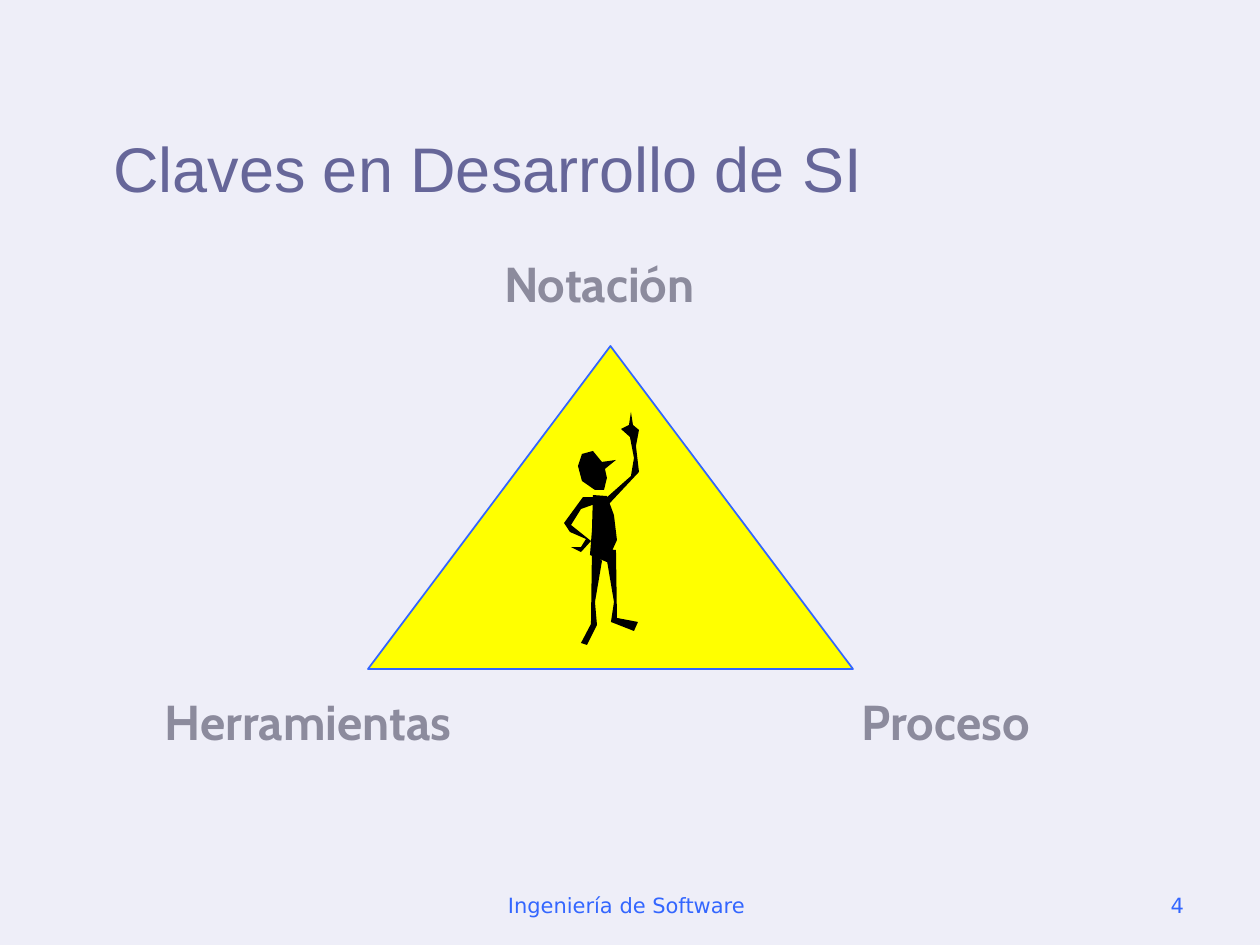
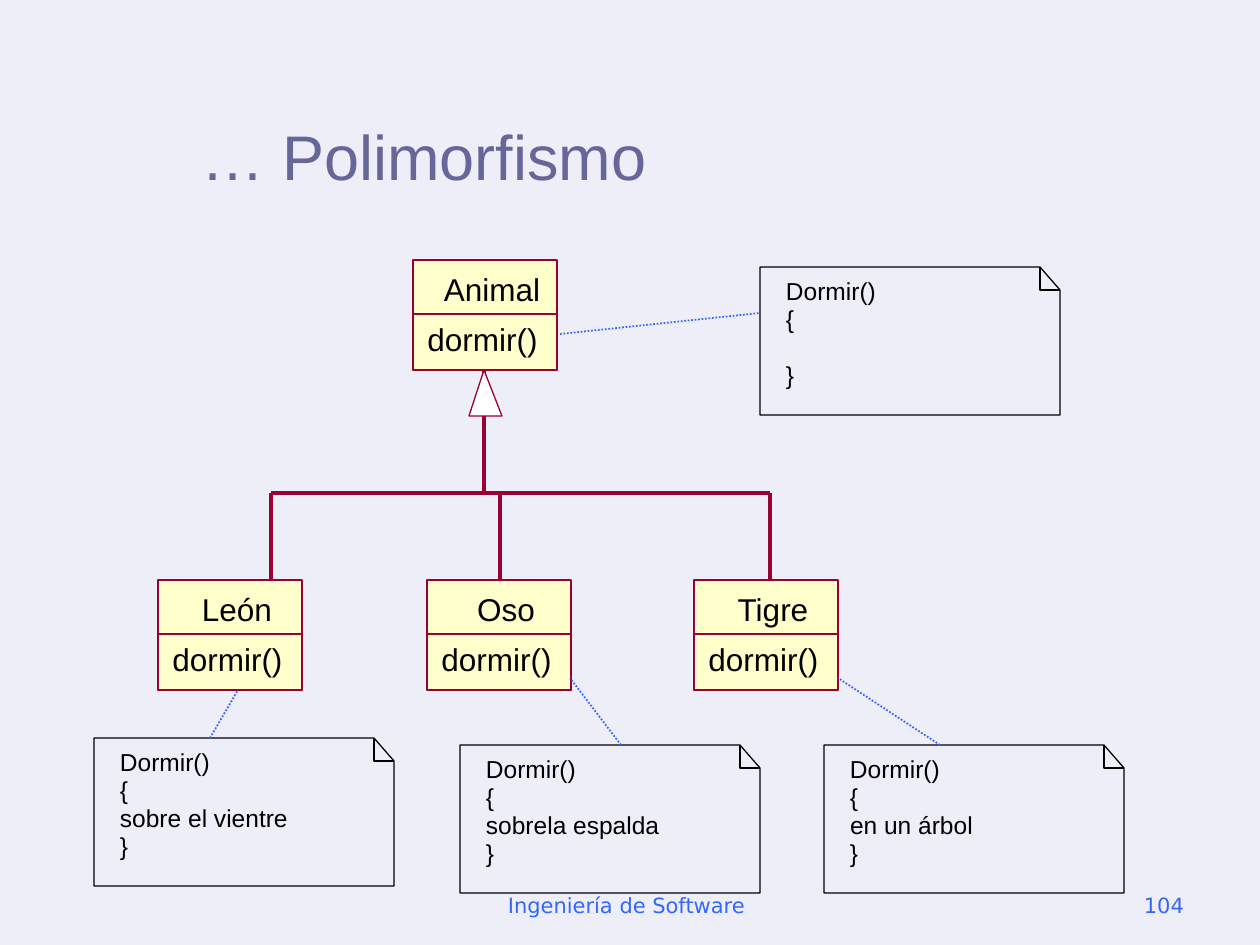
from lxml import etree
from pptx import Presentation
from pptx.dml.color import RGBColor
from pptx.enum.dml import MSO_LINE
from pptx.enum.shapes import MSO_CONNECTOR, MSO_SHAPE
from pptx.enum.text import MSO_ANCHOR, MSO_AUTO_SIZE, PP_ALIGN
from pptx.oxml.ns import qn
from pptx.util import Pt

# Shared style
PX = 914400 / 126
SLIDE_SIZE = (1260, 945)
COLORS = {
    "background": "EEEEF8", "title": "666699", "blue": "3366FF",
    "label": "8C8B9D", "yellow": "FFFF00", "class": "FFFFCC",
    "maroon": "990033", "black": "000000", "white": "FFFFFF",
}
FOOTER = "Ingeniería de Software"
FOOTER_BOX = (427, 861, 399, 63)
NUMBER_BOX = (903, 861, 294, 63)

# Slide 1: the three keys around a triangle
KEYS = {
    "title": "Claves en Desarrollo de SI",
    "title_box": (105, 126, 1071, 82),
    "title_insets": (8, 3),
    "number": "4",
    "triangle": (368, 346, 485, 323),
    "labels": [
        ("Herramientas", (152, 685, 364, 72)),
        ("Proceso", (849, 685, 217, 72)),
        ("Notación", (491, 248, 248, 72)),
    ],
}
FIGURE = {
    "head": [(602, 462), (593, 451), (582, 454), (578, 466), (582, 481),
             (595, 490), (604, 490), (607, 478), (605, 469), (616, 460)],
    "raised arm": [(605, 499), (631, 476), (634, 458), (630, 437), (621, 429),
                   (629, 425), (631, 412), (633, 425), (639, 430), (636, 446),
                   (639, 472), (609, 504)],
    "bent arm": [(595, 497), (583, 497), (564, 523), (570, 532), (586, 539),
                 (581, 547), (571, 547), (581, 552), (591, 541), (571, 525),
                 (581, 509), (595, 504)],
    "body": [(593, 495), (607, 496), (614, 515), (617, 540), (607, 562),
             (590, 555), (592, 530)],
    "left leg": [(592, 550), (591, 624), (581, 643), (587, 645), (597, 625),
                 (595, 602), (602, 561)],
    "right leg": [(605, 549), (614, 602), (611, 622), (634, 631), (638, 622),
                  (617, 618), (616, 550)],
}

# Slide 2: a class tree with notes
POLYMORPHISM = {
    "title": "… Polimorfismo",
    "title_box": (189, 42, 1008, 157),
    "title_insets": (13, 6),
    "number": "104",
    # left, top, body of the method
    "notes": [
        (824, 745, "en un árbol"),
        (460, 745, "sobrela espalda"),
        (94, 738, "sobre el vientre"),
        (760, 267, ""),
    ],
    # name, left, top
    "classes": [
        ("Animal", 413, 260), ("León", 158, 580),
        ("Oso", 427, 580), ("Tigre", 694, 580),
    ],
    "operation": "dormir()",
    "trunk": (484, 493, 484, 370),
    "arrowhead": [(484, 370), (502, 416), (469, 416)],
    "branch_xs": (271, 500, 770),
    "branch_ys": (580, 493),
    "links": [
        (560, 334, 760, 313), (210, 738, 238, 690),
        (621, 745, 570, 678), (940, 745, 838, 678),
    ],
}
NOTE_W, NOTE_H, FOLD_W, FOLD_H = 300, 148, 20, 23
NOTE_TEXT_X, NOTE_TEXT_Y, NOTE_PITCH = 26, 9, 28
CLASS_W, CLASS_H, NAME_H = 144, 110, 54
NAME_SHIFT, OPERATION_X, OPERATION_W = 7, 14, 111


def emu(*lengths):
    return [round(length * PX) for length in lengths]


def color(name):
    return RGBColor.from_string(COLORS[name])


def write(target, text, font="Arial", size=18, ink="black", bold=False,
          align=PP_ALIGN.LEFT, anchor=MSO_ANCHOR.TOP, insets=(0, 0), wrap=False):
    frame = target.text_frame
    frame.text = text
    frame.word_wrap = wrap
    frame.auto_size = MSO_AUTO_SIZE.NONE
    frame.vertical_anchor = anchor
    frame.margin_left = frame.margin_right = emu(insets[0])[0]
    frame.margin_top = frame.margin_bottom = emu(insets[1])[0]
    paragraph = frame.paragraphs[0]
    paragraph.alignment = align
    style = paragraph.runs[0].font
    style.name, style.size, style.bold = font, Pt(size), bold
    style.color.rgb = color(ink)


def add_text(slide, box, text, **style):
    write(slide.shapes.add_textbox(*emu(*box)), text, **style)


def paint(shape, fill=None, line=None, width=0):
    shape.shadow.inherit = False
    if fill:
        shape.fill.solid()
        shape.fill.fore_color.rgb = color(fill)
    else:
        shape.fill.background()
    if line:
        shape.line.color.rgb = color(line)
        shape.line.width = Pt(width)
    else:
        shape.line.fill.background()


def add_preset(slide, kind, box, **style):
    paint(slide.shapes.add_shape(kind, *emu(*box)), **style)


def add_outline(shapes, points, close=True, **style):
    builder = shapes.build_freeform(*points[0], scale=PX)
    builder.add_line_segments(points[1:], close=close)
    paint(builder.convert_to_shape(), **style)


def add_line(slide, ends, ink="maroon", width=0, dash=None):
    line = slide.shapes.add_connector(MSO_CONNECTOR.STRAIGHT, *emu(*ends))
    line.line.color.rgb = color(ink)
    line.line.width = Pt(width)
    if dash:
        line.line.dash_style = dash
    etree.SubElement(line._element.spPr, qn("a:effectLst"))


def add_slide(prs, content):
    slide = prs.slides.add_slide(prs.slide_layouts[5])
    title = slide.shapes.title
    title.left, title.top, title.width, title.height = emu(*content["title_box"])
    write(title, content["title"], size=36, ink="title", wrap=True,
          anchor=MSO_ANCHOR.BOTTOM, insets=content["title_insets"])
    for box, text, align in [(FOOTER_BOX, FOOTER, PP_ALIGN.CENTER),
                             (NUMBER_BOX, content["number"], PP_ALIGN.RIGHT)]:
        add_text(slide, box, text, font="DejaVu Sans", size=12, ink="blue",
                 align=align, anchor=MSO_ANCHOR.BOTTOM, insets=(13, 6), wrap=True)
    return slide


def add_note(slide, left, top, method_body):
    right, bottom = left + NOTE_W, top + NOTE_H
    fold_x, fold_y = right - FOLD_W, top + FOLD_H
    add_outline(slide.shapes, [(left, top), (fold_x, top), (right, fold_y),
                               (right, bottom), (left, bottom)], line="black")
    add_outline(slide.shapes, [(fold_x, top), (fold_x, fold_y), (right, fold_y)],
                close=False, line="black")
    for row, text in enumerate(["Dormir()", "{", method_body, "}"]):
        if text:
            y = top + NOTE_TEXT_Y + row * NOTE_PITCH
            add_text(slide, (left + NOTE_TEXT_X, y, 11 * len(text), 29), text, size=14)


def add_class(slide, name, left, top):
    add_preset(slide, MSO_SHAPE.RECTANGLE, (left, top, CLASS_W, CLASS_H),
               fill="class", line="maroon")
    add_text(slide, (left + NAME_SHIFT, top + 10, CLASS_W, 38), name,
             align=PP_ALIGN.CENTER)
    add_preset(slide, MSO_SHAPE.RECTANGLE,
               (left, top + NAME_H, CLASS_W, CLASS_H - NAME_H), line="maroon")
    add_text(slide, (left + OPERATION_X, top + 60, OPERATION_W, 38),
             POLYMORPHISM["operation"], align=PP_ALIGN.CENTER)


def build_keys(prs):
    slide = add_slide(prs, KEYS)
    add_preset(slide, MSO_SHAPE.ISOSCELES_TRIANGLE, KEYS["triangle"],
               fill="yellow", line="blue", width=1)
    for text, box in KEYS["labels"]:
        add_text(slide, box, text, font="Cabin", size=28, ink="label", bold=True,
                 insets=(13, 6))
    figure = slide.shapes.add_group_shape()
    for points in FIGURE.values():
        add_outline(figure.shapes, points, fill="black")


def build_polymorphism(prs):
    slide = add_slide(prs, POLYMORPHISM)
    for note in POLYMORPHISM["notes"]:
        add_note(slide, *note)
    for entry in POLYMORPHISM["classes"]:
        add_class(slide, *entry)
    # Inheritance tree
    xs = POLYMORPHISM["branch_xs"]
    child_y, bar_y = POLYMORPHISM["branch_ys"]
    add_line(slide, POLYMORPHISM["trunk"])
    add_line(slide, (xs[0], bar_y, xs[-1], bar_y))
    add_outline(slide.shapes, POLYMORPHISM["arrowhead"], fill="white", line="maroon")
    for x in xs:
        add_line(slide, (x, child_y, x, bar_y))
    # Links from classes to notes
    for ends in POLYMORPHISM["links"]:
        add_line(slide, ends, ink="blue", width=1, dash=MSO_LINE.ROUND_DOT)


def main():
    prs = Presentation()
    prs.slide_width, prs.slide_height = emu(*SLIDE_SIZE)
    backdrop = prs.slide_master.background.fill
    backdrop.solid()
    backdrop.fore_color.rgb = color("background")
    build_keys(prs)
    build_polymorphism(prs)
    prs.save("out.pptx")


if __name__ == "__main__":
    main()
